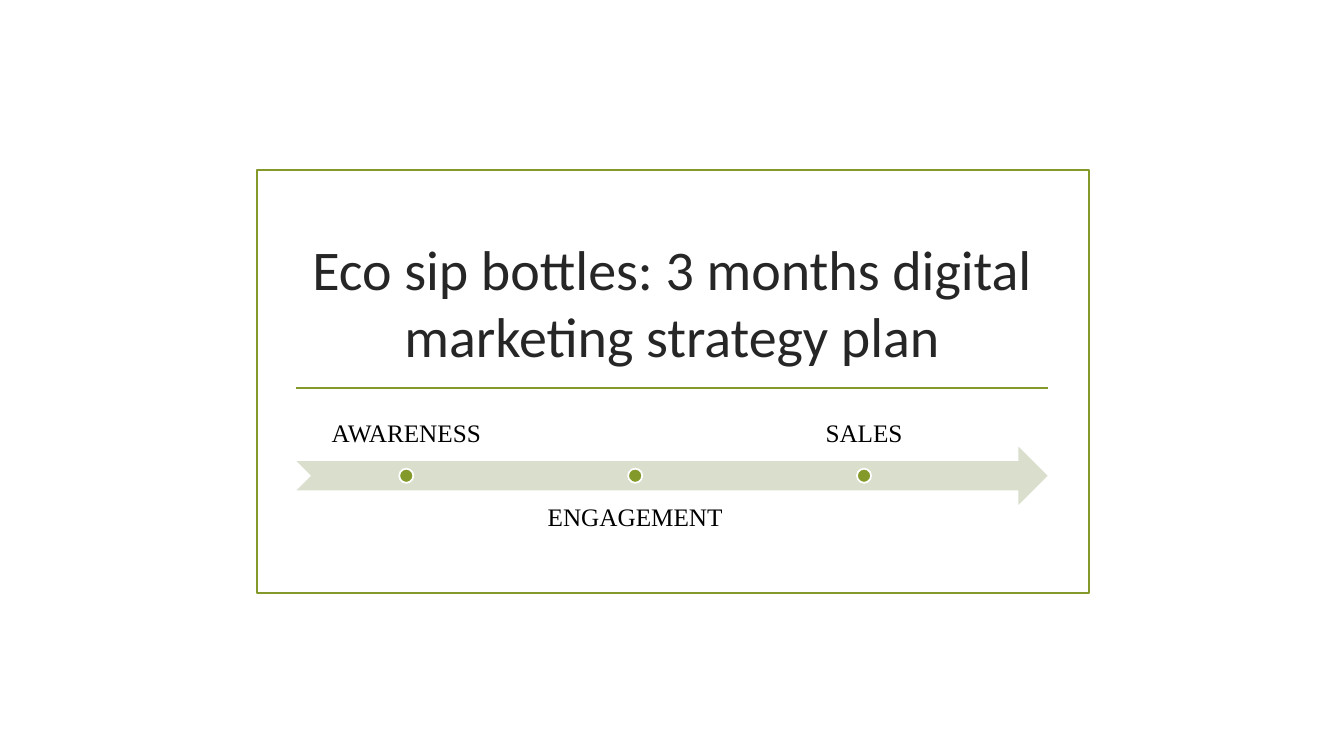
from dataclasses import dataclass

from lxml import etree
from pptx import Presentation
from pptx.dml.color import RGBColor
from pptx.enum.shapes import MSO_CONNECTOR, MSO_SHAPE
from pptx.enum.text import MSO_ANCHOR, MSO_AUTO_SIZE, PP_ALIGN
from pptx.oxml.ns import qn
from pptx.util import Pt

RECTANGLE = MSO_SHAPE.RECTANGLE
NOTCHED_ARROW = MSO_SHAPE.NOTCHED_RIGHT_ARROW
OVAL = MSO_SHAPE.OVAL
STRAIGHT = MSO_CONNECTOR.STRAIGHT
TOP, BOTTOM = MSO_ANCHOR.TOP, MSO_ANCHOR.BOTTOM
CENTER = PP_ALIGN.CENTER
NO_AUTOFIT = MSO_AUTO_SIZE.NONE

EMU_PER_PX = 9144  # 100 px to the inch
TITLE_ONLY = 5


@dataclass(frozen=True)
class Theme:
    accent: str = "83992A"
    arrow: str = "D9DECD"
    title: str = "262626"
    label: str = "000000"
    white: str = "FFFFFF"
    title_font: str = "Calibri"
    label_font: str = "Times New Roman"
    title_size: int = 40
    label_size: int = 18
    line_width: float = 1.25


THEME = Theme()

STAGES = ("AWARENESS", "ENGAGEMENT", "SALES")
STAGE_LEFT, STAGE_STEP = 295, 227
LABEL_WIDTH, LABEL_HEIGHT = 216, 58
LABEL_ABOVE, LABEL_BELOW = 400, 487
LABEL_INSET = 14
DOT_TOP, DOT_SIZE = 465, 14
CONTENT_LEFT, CONTENT_WIDTH = 294, 745


def px(*lengths):
    return [length * EMU_PER_PX for length in lengths]


def set_line(line, color):
    line.color.rgb = RGBColor.from_string(color)
    line.width = Pt(THEME.line_width)


def add_shape(slide, kind, box, fill=None, line=None):
    shape = slide.shapes.add_shape(kind, *px(*box))
    shape.shadow.inherit = False
    if fill:
        shape.fill.solid()
        shape.fill.fore_color.rgb = RGBColor.from_string(fill)
    else:
        shape.fill.background()
    if line:
        set_line(shape.line, line)
    else:
        shape.line.fill.background()
    return shape


def add_rule(slide, left, top, width):
    rule = slide.shapes.add_connector(STRAIGHT, *px(left, top, left + width, top))
    set_line(rule.line, THEME.accent)
    etree.SubElement(rule._element.spPr, qn("a:effectLst"))


def write_text(text_frame, text, font, size, color, anchor):
    text_frame.text = text
    text_frame.word_wrap = True
    text_frame.auto_size = NO_AUTOFIT
    text_frame.vertical_anchor = anchor
    paragraph = text_frame.paragraphs[0]
    paragraph.alignment = CENTER
    run_font = paragraph.runs[0].font
    run_font.name = font
    run_font.size = Pt(size)
    run_font.color.rgb = RGBColor.from_string(color)


def set_title(slide, text, box):
    title = slide.shapes.title
    title.left, title.top, title.width, title.height = px(*box)
    write_text(title.text_frame, text, THEME.title_font, THEME.title_size,
               THEME.title, BOTTOM)


def add_label(slide, text, left, top, anchor):
    label = slide.shapes.add_textbox(*px(left, top, LABEL_WIDTH, LABEL_HEIGHT))
    frame = label.text_frame
    write_text(frame, text, THEME.label_font, THEME.label_size, THEME.label, anchor)
    frame.paragraphs[0].line_spacing = 0.9
    (frame.margin_left, frame.margin_top,
     frame.margin_right, frame.margin_bottom) = px(*[LABEL_INSET] * 4)


def add_timeline(slide):
    add_shape(slide, NOTCHED_ARROW, (CONTENT_LEFT, 443, CONTENT_WIDTH, 58),
              fill=THEME.arrow)
    # Labels alternate above and below the arrow, each with a centred dot
    for index, stage in enumerate(STAGES):
        left = STAGE_LEFT + index * STAGE_STEP
        top, anchor = (LABEL_BELOW, TOP) if index % 2 else (LABEL_ABOVE, BOTTOM)
        add_label(slide, stage, left, top, anchor)
        dot_left = left + (LABEL_WIDTH - DOT_SIZE) // 2
        add_shape(slide, OVAL, (dot_left, DOT_TOP, DOT_SIZE, DOT_SIZE),
                  fill=THEME.accent, line=THEME.white)


def main():
    presentation = Presentation()
    presentation.slide_width, presentation.slide_height = px(1333, 750)
    slide = presentation.slides.add_slide(presentation.slide_layouts[TITLE_ONLY])

    # Frame, title and rule
    add_shape(slide, RECTANGLE, (255, 169, 825, 419), line=THEME.accent)
    add_rule(slide, CONTENT_LEFT, 385, CONTENT_WIDTH)
    set_title(slide, "Eco sip bottles: 3 months digital marketing strategy plan",
              (CONTENT_LEFT, 205, CONTENT_WIDTH, 166))

    # Campaign stages
    add_timeline(slide)
    presentation.save("out.pptx")


if __name__ == "__main__":
    main()
